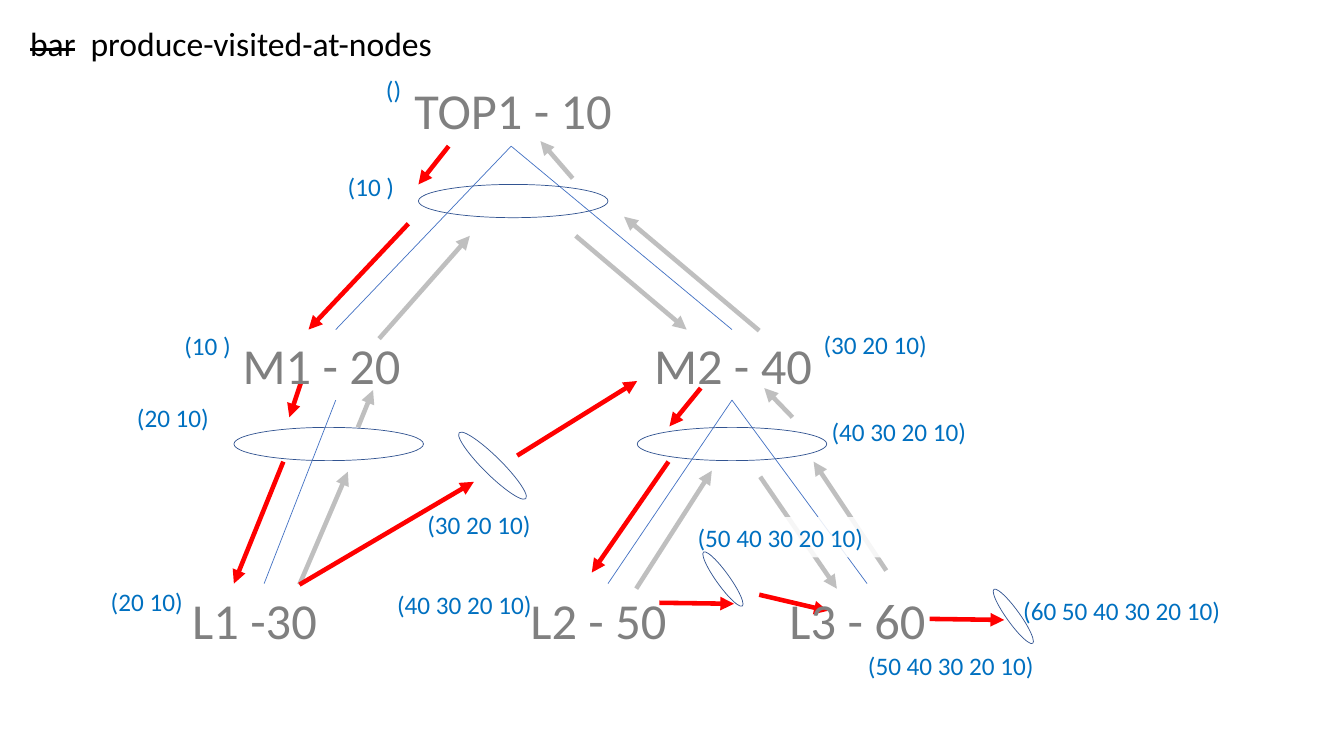
from typing import Any, NamedTuple

import pptx
import pptx.dml.color
import pptx.enum.shapes
import pptx.enum.text
import pptx.oxml
import pptx.oxml.ns
import pptx.util
from pptx.util import Inches

RGBColor = pptx.dml.color.RGBColor
EDGE_BLUE = RGBColor(0x44, 0x72, 0xC4)
RING_BLUE = RGBColor(0x32, 0x54, 0x91)
LABEL_BLUE = RGBColor(0x00, 0x70, 0xC0)
NODE_GRAY = RGBColor(0x80, 0x80, 0x80)
RETURN_GRAY = RGBColor(0xBF, 0xBF, 0xBF)
VISIT_RED = RGBColor(0xFF, 0x00, 0x00)
BLACK = RGBColor(0x00, 0x00, 0x00)
WHITE = RGBColor(0xFF, 0xFF, 0xFF)

ALIGN = pptx.enum.text.PP_ALIGN
THIN, THICK = 0.5, 3.25


class Segment(NamedTuple):
    x1: float
    y1: float
    x2: float
    y2: float


class Ring(NamedTuple):
    left: float
    top: float
    width: float = 1.88
    height: float = 0.33
    rotation: float = 0


class Label(NamedTuple):
    text: str
    left: float
    top: float
    width: float
    height: float = 0.4


TOP, M1, M2 = (5.07, 1.45), (3.33, 3.27), (7.26, 3.27)
M1_FOOT, M2_FOOT = (3.33, 3.97), (7.26, 3.97)
EDGES = [
    Segment(*TOP, *M1),
    Segment(*M1_FOOT, 2.62, 5.79),
    Segment(*TOP, *M2),
    Segment(*M2_FOOT, 6.03, 5.79),
    Segment(*M2_FOOT, 8.6, 5.79),
]
RETURN_ARROWS = [
    Segment(2.97, 5.8, 3.45, 4.68),
    Segment(3.76, 3.36, 4.66, 2.34),
    Segment(5.71, 2.34, 6.81, 3.27),
    Segment(6.31, 5.84, 7.06, 4.67),
    Segment(7.54, 4.73, 8.3, 5.84),
    Segment(8.79, 5.66, 8.07, 4.58),
    Segment(3.55, 4.24, 3.7, 3.87),
    Segment(7.86, 4.14, 7.58, 3.85),
    Segment(7.53, 3.28, 6.19, 2.15),
    Segment(5.68, 1.77, 5.36, 1.4),
]
VISIT_ARROWS = [
    Segment(4.45, 1.45, 4.15, 1.83),
    Segment(4.05, 2.22, 3.06, 3.27),
    Segment(2.99, 3.78, 2.87, 4.14),
    Segment(2.81, 4.58, 2.32, 5.79),
    Segment(6.63, 4.58, 5.87, 5.68),
    Segment(6.95, 3.85, 6.64, 4.23),
    Segment(2.97, 5.8, 4.7, 4.78),
    Segment(9.22, 6.14, 9.96, 6.15),
    Segment(5.13, 4.52, 6.32, 3.78),
    Segment(7.53, 5.9, 8.21, 6.06),
]
LEAVING_L2 = Segment(6.54, 5.98, 7.28, 5.99)
RINGS = [
    Ring(4.15, 1.83),
    Ring(2.32, 4.24),
    Ring(6.32, 4.24),
    Ring(4.42, 4.53, 0.93, 0.18, 44.7),
    Ring(6.84, 5.68, 0.66, 0.13, 54.3),
    Ring(9.72, 6.05, 0.66, 0.13, 54.3),
]
NODES = [
    Label("L1 -30", 1.73, 5.79, 1.59, 0.71),
    Label("L2 - 50", 5.14, 5.79, 1.59, 0.71),
    Label("L3 - 60", 7.71, 5.79, 1.59, 0.71),
    Label("M1 - 20", 2.25, 3.27, 1.88, 0.71),
    Label("M2 - 40", 6.33, 3.27, 1.88, 0.71),
    Label("TOP1 - 10", 3.99, 0.74, 2.2, 0.71),
]
VISITED = [
    Label("()", 3.73, 0.69, 1.05),
    Label("(10 )", 3.35, 1.65, 1.63),
    Label("(10 )", 1.73, 3.23, 1.63),
    Label("(20 10)", 1.26, 3.94, 1.63),
    Label("(20 10)", 1, 5.77, 1.63),
    Label("(30 20 10)", 4.14, 5, 2.14),
    Label("(30 20 10)", 8.07, 3.22, 2.14),
    Label("(40 30 20 10)", 8.15, 4.08, 2.77),
    Label("(40 30 20 10)", 3.84, 5.8, 2.77),
    Label("(50 40 30 20 10)", 8.51, 6.4, 2.77),
    Label("(60 50 40 30 20 10)", 10.05, 5.86, 2.77),
]
VISITED_AT_L2 = Label("(50 40 30 20 10)", 6.82, 5.13, 2.77)
TITLE = Label("bar", 0.2, 0.18, 4.42, 0.5)

FRAME_FORMAT = {
    "word_wrap": True,
    "auto_size": pptx.enum.text.MSO_AUTO_SIZE.SHAPE_TO_FIT_TEXT,
    "vertical_anchor": pptx.enum.text.MSO_ANCHOR.TOP,
}


def apply_format(target: Any, values: dict[str, Any]) -> None:
    for name, value in values.items():
        setattr(target, name, value)


def format_font(font: Any, size: float, color: RGBColor) -> None:
    apply_format(font, {"name": "Calibri", "size": pptx.util.Pt(size)})
    font.color.rgb = color


def add_xml(parent: Any, tag: str, **attributes: str) -> Any:
    element = pptx.oxml.parse_xml(f"<{tag} {pptx.oxml.ns.nsdecls('a')}/>")
    for name, value in attributes.items():
        element.set(name, value)
    parent.append(element)
    return element


def add_segment(slide: Any, segment: Segment, color: RGBColor, width: float, arrow: bool = True) -> None:
    connector = slide.shapes.add_connector(
        pptx.enum.shapes.MSO_CONNECTOR.STRAIGHT, *map(Inches, segment))
    connector.line.color.rgb = color
    connector.line.width = pptx.util.Pt(width)
    if arrow:
        add_xml(connector.line.fill._xPr, "a:tailEnd", type="triangle")
    add_xml(connector._element.spPr, "a:effectLst")


def add_ring(slide: Any, ring: Ring) -> None:
    shape = slide.shapes.add_shape(pptx.enum.shapes.MSO_SHAPE.OVAL, *map(Inches, ring[:4]))
    shape.rotation = ring.rotation
    shape.shadow.inherit = False
    shape.fill.background()
    shape.line.color.rgb = RING_BLUE
    shape.line.width = pptx.util.Pt(THIN)


def add_label(slide: Any, label: Label, size: float, color: RGBColor, alignment: Any = ALIGN.LEFT) -> Any:
    box = slide.shapes.add_textbox(*map(Inches, label[1:]))
    apply_format(box.text_frame, FRAME_FORMAT)
    paragraph = box.text_frame.paragraphs[0]
    paragraph.alignment = alignment
    run = paragraph.add_run()
    run.text = label.text
    format_font(run.font, size, color)
    return box


def add_title(slide: Any) -> None:
    """Add the title with its old name struck out and the new name at a tab stop."""
    paragraph = add_label(slide, TITLE, 24, BLACK).text_frame.paragraphs[0]
    tabs = add_xml(paragraph._p.get_or_add_pPr(), "a:tabLst")
    add_xml(tabs, "a:tab", pos=str(Inches(0.6)), algn="l")
    paragraph.runs[0]._r.get_or_add_rPr().set("strike", "sngStrike")
    new_name = paragraph.add_run()
    new_name.text = "\tproduce-visited-at-nodes"
    format_font(new_name.font, 24, BLACK)


def main() -> None:
    presentation = pptx.Presentation()
    apply_format(presentation, {"slide_width": Inches(13.33), "slide_height": Inches(7.5)})
    slide = presentation.slides.add_slide(presentation.slide_layouts[6])
    for edge in EDGES:
        add_segment(slide, edge, EDGE_BLUE, THIN, arrow=False)
    for arrows, color in ((RETURN_ARROWS, RETURN_GRAY), (VISIT_ARROWS, VISIT_RED)):
        for arrow in arrows:
            add_segment(slide, arrow, color, THICK)
    for node in NODES:
        add_label(slide, node, 36, NODE_GRAY, ALIGN.CENTER)
    for visited in VISITED:
        add_label(slide, visited, 18, LABEL_BLUE)
    veil = add_label(slide, VISITED_AT_L2, 18, LABEL_BLUE)
    veil.fill.solid()
    veil.fill.fore_color.rgb = WHITE
    add_xml(veil.fill._xPr.find(".//" + pptx.oxml.ns.qn("a:srgbClr")), "a:alpha", val="87000")
    for ring in RINGS:
        add_ring(slide, ring)
    add_title(slide)
    add_segment(slide, LEAVING_L2, VISIT_RED, THICK)
    presentation.save("out.pptx")


if __name__ == "__main__":
    main()
